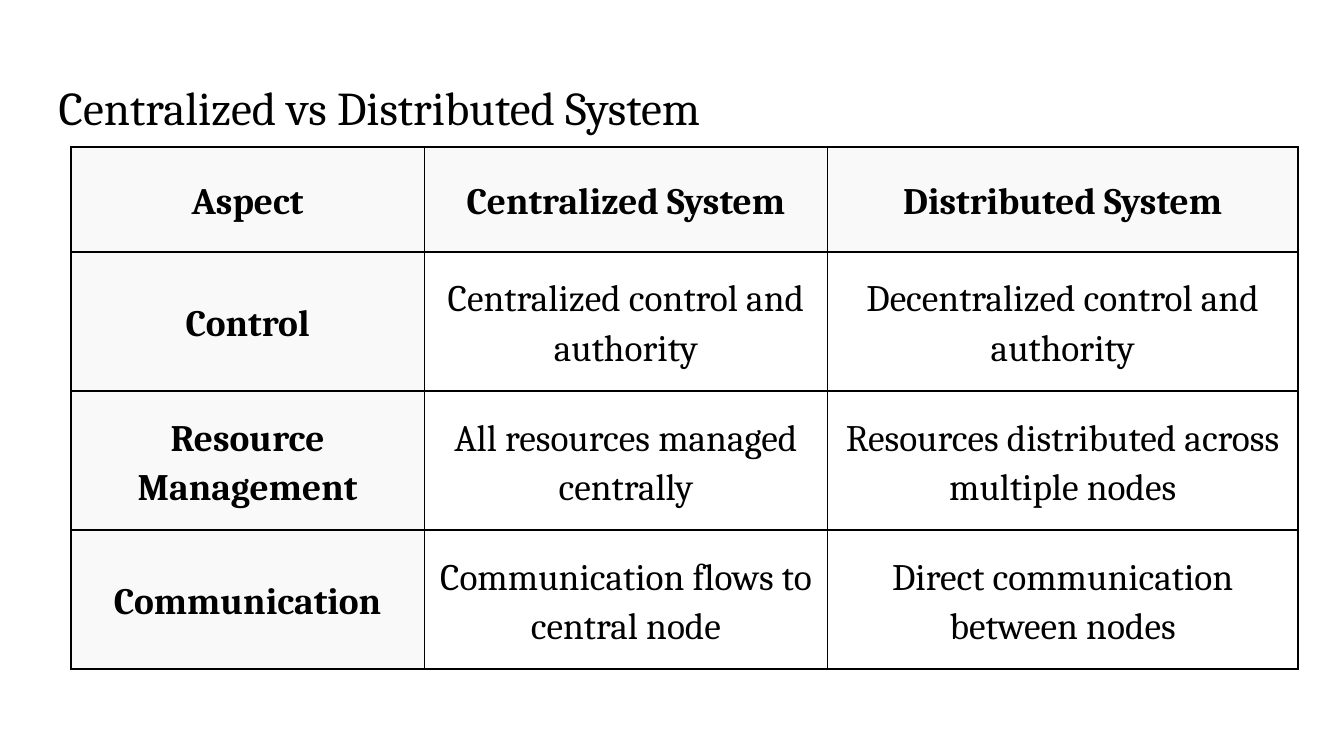
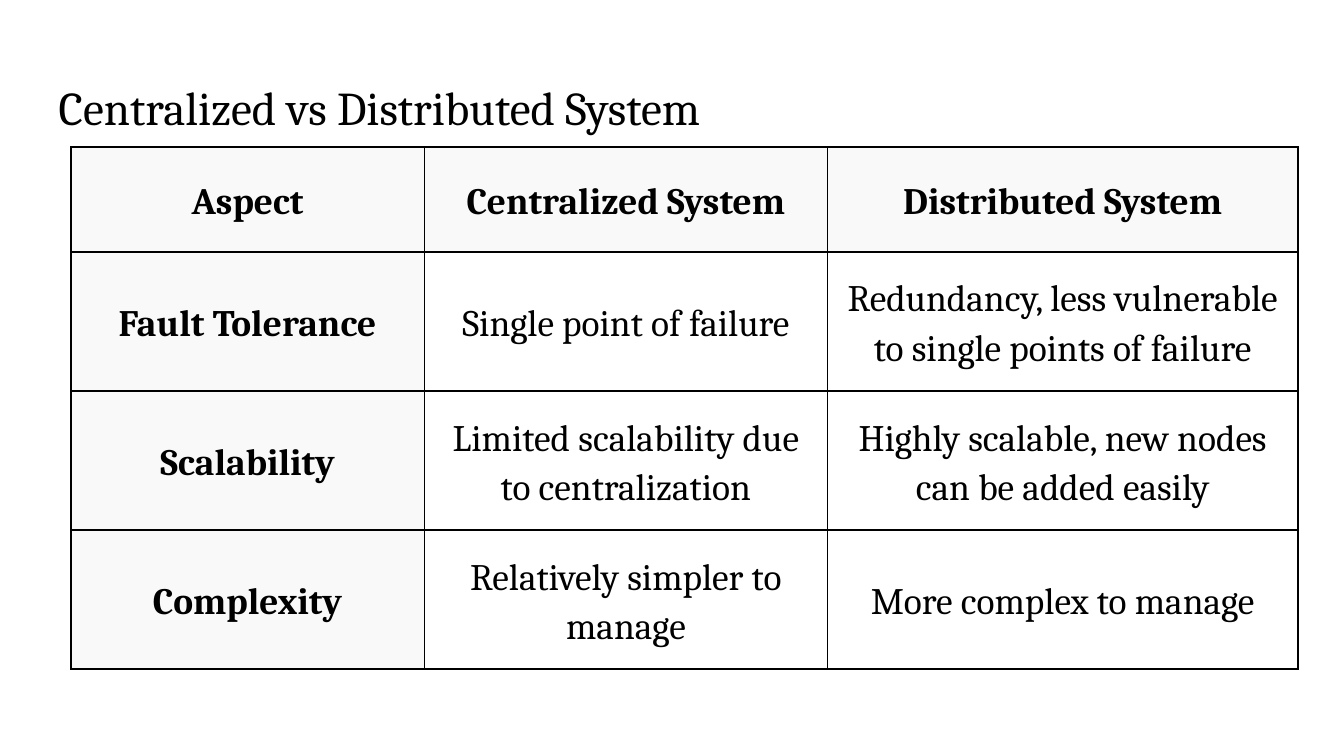
import pptx
import pptx.util
import pptx.dml.color
import pptx.enum.text
import pptx.oxml.ns
from lxml import etree

Cm = pptx.util.Cm
Pt = pptx.util.Pt

COLORS = {"text": "000000", "border": "000000", "heading": "F9F9F9", "body": "FFFFFF"}
FONT = "Cambria"
TITLE = "Centralized vs Distributed System"
HEADER = ("Aspect", "Centralized System", "Distributed System")
COLUMN_WIDTHS = (6.68, 7.62, 8.89)
HEADER_HEIGHT, ROW_HEIGHT = 1.98, 2.59

COMPARISONS = (
    (
        ("Control", "Centralized control and authority", "Decentralized control and authority"),
        ("Resource Management", "All resources managed centrally",
         "Resources distributed across multiple nodes"),
        ("Communication", "Communication flows to central node",
         "Direct communication between nodes"),
    ),
    (
        ("Fault Tolerance", "Single point of failure",
         "Redundancy, less vulnerable to single points of failure"),
        ("Scalability", "Limited scalability due to centralization",
         "Highly scalable, new nodes can be added easily"),
        ("Complexity", "Relatively simpler to manage", "More complex to manage"),
    ),
)


def rgb(name):
    return pptx.dml.color.RGBColor.from_string(COLORS[name])


def apply_format(target, values):
    for attribute, value in values.items():
        setattr(target, attribute, value)


def write_text(paragraph, text, alignment, size, bold=False, line_spacing=1.0):
    apply_format(paragraph, {"alignment": alignment, "line_spacing": line_spacing})
    run = paragraph.add_run()
    run.text = text
    apply_format(run.font, {"name": FONT, "size": Pt(size), "bold": bold})
    run.font.color.rgb = rgb("text")


def add_title(slide, text):
    title = slide.shapes.title
    apply_format(title, {"left": Cm(0.86), "top": Cm(1.24),
                         "width": Cm(23.67), "height": Cm(1.6)})
    margins = {f"margin_{side}": Cm(0.25) for side in ("left", "top", "right", "bottom")}
    apply_format(title.text_frame, {
        **margins,
        "word_wrap": True,
        "auto_size": pptx.enum.text.MSO_AUTO_SIZE.NONE,
        "vertical_anchor": pptx.enum.text.MSO_ANCHOR.TOP,
    })
    write_text(title.text_frame.paragraphs[0], text, pptx.enum.text.PP_ALIGN.LEFT, 25.2)


def add_borders(cell):
    """Draw all four edges; they must come before the fill in tcPr."""
    properties = cell._tc.get_or_add_tcPr()
    qn = pptx.oxml.ns.qn
    for position, edge in enumerate(("lnL", "lnR", "lnT", "lnB")):
        line = etree.Element(qn(f"a:{edge}"), w=str(Pt(1)))
        fill = etree.SubElement(line, qn("a:solidFill"))
        etree.SubElement(fill, qn("a:srgbClr"), val=COLORS["border"])
        properties.insert(position, line)


def format_cell(cell, text, is_header, is_aspect):
    is_heading = is_header or is_aspect
    side = Cm(0.1 if is_aspect else 0.28)
    if is_header:
        vertical = Cm(0.28)
    else:
        vertical = Cm(0.18 if is_aspect else 0.38)
    apply_format(cell, {
        "margin_left": side, "margin_right": side,
        "margin_top": vertical, "margin_bottom": vertical,
        "vertical_anchor": pptx.enum.text.MSO_ANCHOR.MIDDLE,
    })
    cell.fill.solid()
    cell.fill.fore_color.rgb = rgb("heading" if is_heading else "body")
    add_borders(cell)
    write_text(cell.text_frame.paragraphs[0], text, pptx.enum.text.PP_ALIGN.CENTER,
               20, bold=is_heading, line_spacing=1.15)


def add_comparison(slide, aspects):
    rows = (HEADER, *aspects)
    heights = [HEADER_HEIGHT] + [ROW_HEIGHT] * len(aspects)
    table = slide.shapes.add_table(
        len(rows), len(HEADER), Cm(1.34), Cm(2.78),
        Cm(sum(COLUMN_WIDTHS)), Cm(sum(heights))).table
    apply_format(table, {"first_row": False, "horz_banding": False})
    for column, width in zip(table.columns, COLUMN_WIDTHS):
        column.width = Cm(width)
    for row_index, (texts, height) in enumerate(zip(rows, heights)):
        table.rows[row_index].height = Cm(height)
        for column_index, text in enumerate(texts):
            format_cell(table.cell(row_index, column_index), text,
                        row_index == 0, column_index == 0)


def main():
    deck = pptx.Presentation()
    apply_format(deck, {"slide_width": Cm(25.4), "slide_height": Cm(14.29)})
    title_only = deck.slide_layouts.get_by_name("Title Only")
    for aspects in COMPARISONS:
        slide = deck.slides.add_slide(title_only)
        add_title(slide, TITLE)
        add_comparison(slide, aspects)
    deck.save("out.pptx")


if __name__ == "__main__":
    main()
